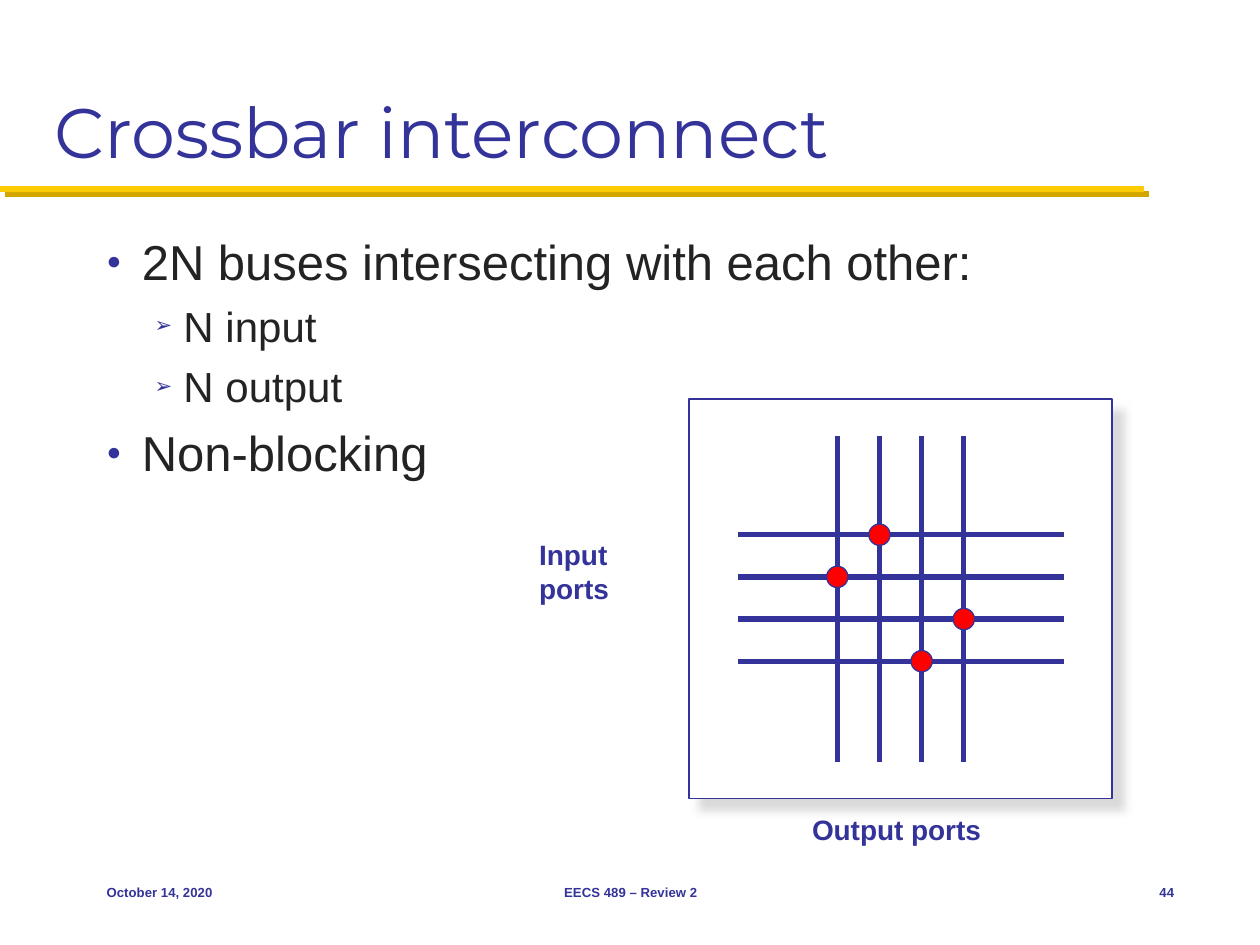
from dataclasses import dataclass

import lxml.etree
import pptx
import pptx.dml.color
import pptx.enum.shapes
import pptx.enum.text
import pptx.oxml.ns
import pptx.util

Cm = pptx.util.Cm
Pt = pptx.util.Pt
Align = pptx.enum.text.PP_ALIGN
Anchor = pptx.enum.text.MSO_ANCHOR
qn = pptx.oxml.ns.qn

COLORS = {
    "navy": "333399",
    "text": "232323",
    "gold": "FFCB05",
    "gold_shadow": "D3A600",
    "gray_shadow": "CECECE",
    "white": "FFFFFF",
    "red": "FF0000",
}


@dataclass
class Label:
    text: str
    left: float
    top: float
    width: float
    height: float
    size: float
    align: Align = Align.LEFT
    anchor: Anchor = Anchor.TOP
    font: str = "Arial"
    bold: bool = True


@dataclass
class Bullet:
    text: str
    mark: str
    size: float
    margin: float
    hanging: float
    space_before: float


@dataclass
class Shadow:
    color: str
    opacity: int
    blur: float
    distance: float


LABELS = [
    Label("Crossbar interconnect", 0.84, 0.43, 23.7, 3.18, 40,
          anchor=Anchor.BOTTOM, font="Montserrat", bold=False),
    Label("Input\vports", 10.62, 10.72, 3.07, 2.82, 16),
    Label("Output ports", 14.2, 16.26, 7.75, 1.12, 16, Align.CENTER),
    Label("October 14, 2020", 1.9, 17.35, 5.28, 1.27, 7.5, anchor=Anchor.MIDDLE),
    Label("EECS 489 – Review 2", 8.69, 17.35, 8.05, 1.27, 7.5, Align.CENTER, Anchor.MIDDLE),
    Label("44", 22.22, 17.35, 1.7, 1.27, 7.5, Align.RIGHT, Anchor.MIDDLE),
]

BULLETS = [
    Bullet("2N buses intersecting with each other:", "●", 28, 0.71, 0.71, 0),
    Bullet("N input", "➢", 24, 1.55, 0.58, 5.6),
    Bullet("N output", "➢", 24, 1.55, 0.58, 5.6),
    Bullet("Non-blocking", "●", 28, 0.71, 0.71, 6.4),
]

BUS_COUNT = 4
PITCH = 0.85
GRID_LEFT, GRID_TOP = 16.88, 10.78
COLUMN_ENDS = (8.79, 15.36)
ROW_ENDS = (14.88, 21.44)
DOT_SIZE = 0.43
CLOSED_COLUMNS = [1, 0, 3, 2]  # connected output for each input row


def rgb(name: str) -> pptx.dml.color.RGBColor:
    return pptx.dml.color.RGBColor.from_string(COLORS[name])


def set_effects(shape, shadow: Shadow | None = None) -> None:
    """Give the shape its own effect list, empty unless a shadow is wanted."""
    effects = lxml.etree.SubElement(shape.element.spPr, qn("a:effectLst"))
    if shadow:
        outer = lxml.etree.SubElement(
            effects, qn("a:outerShdw"), blurRad=str(Pt(shadow.blur)),
            dist=str(Pt(shadow.distance)), dir="2700000", algn="tl", rotWithShape="0")
        color = lxml.etree.SubElement(outer, qn("a:srgbClr"), val=COLORS[shadow.color])
        lxml.etree.SubElement(color, qn("a:alpha"), val=str(shadow.opacity * 1000))


def add_line(slide, start: tuple, end: tuple, color: str, width: float,
             shadow: Shadow | None = None) -> None:
    line = slide.shapes.add_connector(
        pptx.enum.shapes.MSO_CONNECTOR.STRAIGHT, *(Cm(value) for value in start + end))
    line.line.color.rgb = rgb(color)
    line.line.width = Pt(width)
    set_effects(line, shadow)


def add_outlined(slide, kind, bounds: tuple, fill: str, width: float,
                 shadow: Shadow | None = None) -> None:
    shape = slide.shapes.add_shape(kind, *(Cm(value) for value in bounds))
    shape.fill.solid()
    shape.fill.fore_color.rgb = rgb(fill)
    shape.line.color.rgb = rgb("navy")
    shape.line.width = Pt(width)
    set_effects(shape, shadow)


def add_label(slide, label: Label) -> None:
    box = slide.shapes.add_textbox(
        Cm(label.left), Cm(label.top), Cm(label.width), Cm(label.height))
    frame = box.text_frame
    frame.word_wrap = True
    frame.vertical_anchor = label.anchor
    para = frame.paragraphs[0]
    para.text = label.text
    para.alignment = label.align
    para.font.name = label.font
    para.font.size = Pt(label.size)
    para.font.bold = label.bold
    para.font.color.rgb = rgb("navy")


def add_bullets(slide, bullets: list[Bullet]) -> None:
    frame = slide.shapes.add_textbox(Cm(1.9), Cm(4.55), Cm(22.02), Cm(12.17)).text_frame
    frame.word_wrap = True
    for index, bullet in enumerate(bullets):
        para = frame.add_paragraph() if index else frame.paragraphs[0]
        para.text = bullet.text
        para.space_before = Pt(bullet.space_before)
        properties = para._p.get_or_add_pPr()
        properties.set("marL", str(Cm(bullet.margin)))
        properties.set("indent", str(-Cm(bullet.hanging)))
        mark_color = lxml.etree.SubElement(properties, qn("a:buClr"))
        lxml.etree.SubElement(mark_color, qn("a:srgbClr"), val=COLORS["navy"])
        lxml.etree.SubElement(properties, qn("a:buSzPct"), val="50000")
        lxml.etree.SubElement(properties, qn("a:buFont"), typeface="Arial")
        lxml.etree.SubElement(properties, qn("a:buChar"), char=bullet.mark)
        para.font.name = "Arial"
        para.font.size = Pt(bullet.size)
        para.font.color.rgb = rgb("text")


def add_crossbar(slide) -> None:
    shapes = pptx.enum.shapes.MSO_SHAPE
    add_outlined(slide, shapes.RECTANGLE, (13.89, 8.05, 8.53, 8.05), "white", 1,
                 Shadow("gray_shadow", 75, 5, 8.5))
    for index in range(BUS_COUNT):
        x = GRID_LEFT + index * PITCH
        y = GRID_TOP + index * PITCH
        add_line(slide, (x, COLUMN_ENDS[0]), (x, COLUMN_ENDS[1]), "navy", 3)
        add_line(slide, (ROW_ENDS[0], y), (ROW_ENDS[1], y), "navy", 3)
    for row, column in enumerate(CLOSED_COLUMNS):
        left = GRID_LEFT + column * PITCH - DOT_SIZE / 2
        top = GRID_TOP + row * PITCH - DOT_SIZE / 2
        add_outlined(slide, shapes.OVAL, (left, top, DOT_SIZE, DOT_SIZE), "red", 0.75)


def main() -> None:
    deck = pptx.Presentation()
    deck.slide_width, deck.slide_height = Cm(25.4), Cm(19.05)
    slide = deck.slides.add_slide(deck.slide_layouts[6])
    add_line(slide, (0, 3.81), (23.06, 3.81), "gold", 3.5,
             Shadow("gold_shadow", 100, 0, 4.2))
    add_bullets(slide, BULLETS)
    add_crossbar(slide)
    for label in LABELS:
        add_label(slide, label)
    deck.save("out.pptx")


if __name__ == "__main__":
    main()
